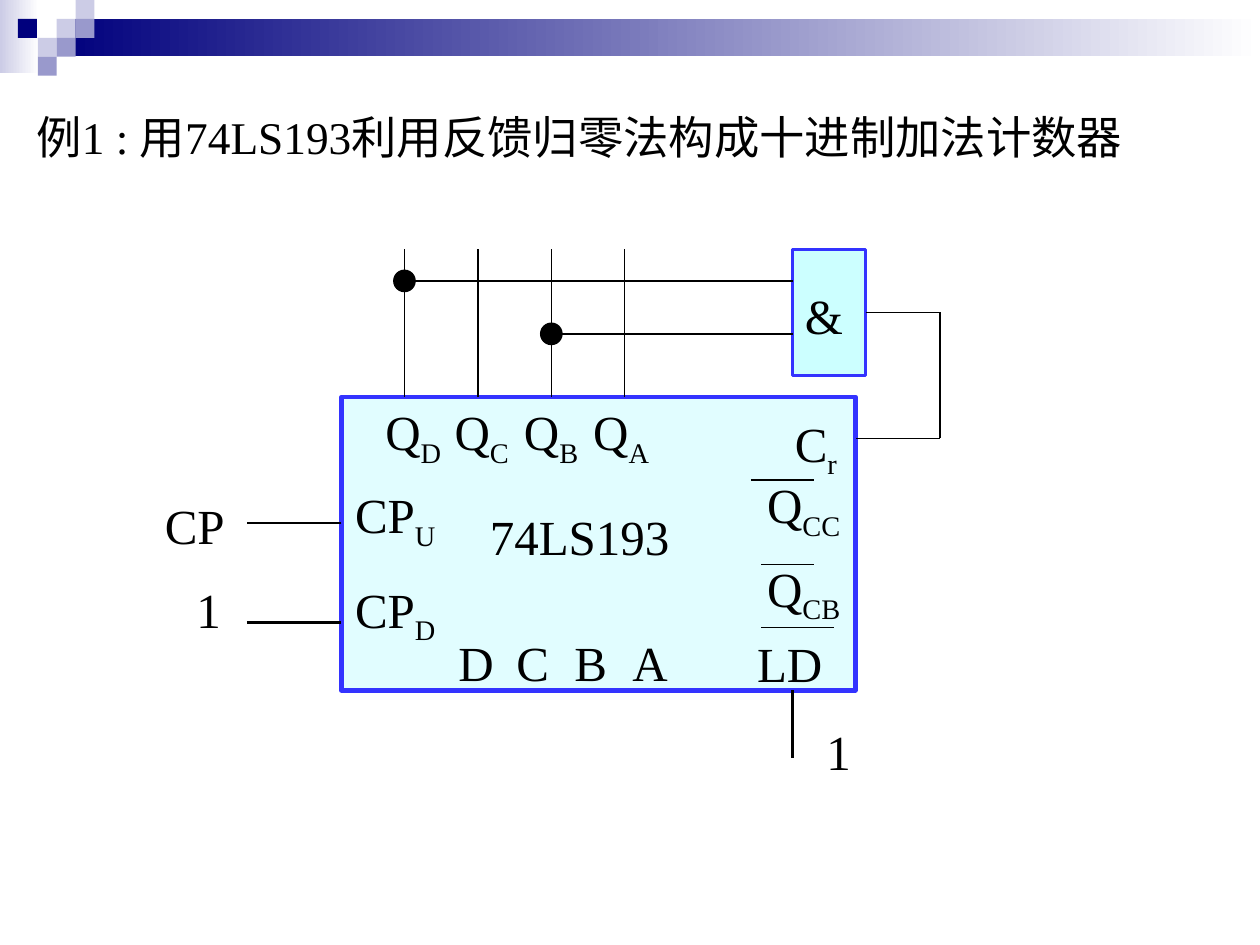
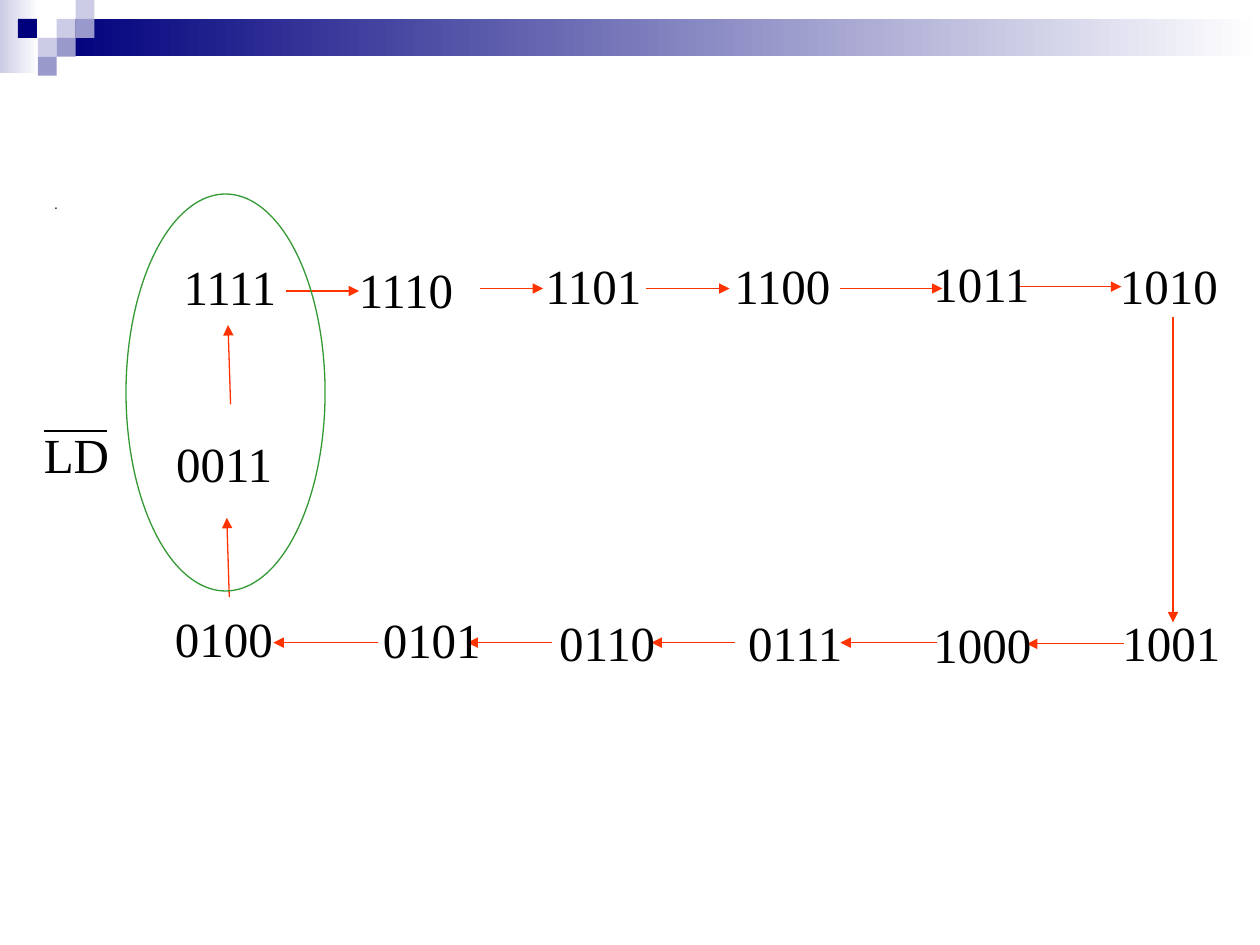
import dataclasses
import pptx
import pptx.dml.color
import pptx.enum.shapes
import pptx.enum.text
import pptx.oxml
import pptx.oxml.ns
import pptx.util

SHAPE = pptx.enum.shapes.MSO_SHAPE
LINK = pptx.enum.shapes.MSO_CONNECTOR.STRAIGHT
ALIGN = pptx.enum.text.PP_ALIGN
ANCHOR = pptx.enum.text.MSO_ANCHOR
FIT = pptx.enum.text.MSO_AUTO_SIZE
WIDE = pptx.util.Inches(10)
HIGH = pptx.util.Inches(7.5)
CELL = WIDE / 100


@dataclasses.dataclass(frozen=True)
class Theme:
    ink: str = "000000"
    navy: str = "00007D"
    mid: str = "9999CC"
    pale: str = "CCCCE6"
    white: str = "FFFFFF"
    edge: str = "3333FF"
    chip: str = "E1FDFF"
    gate: str = "CCFFFF"
    arrow: str = "FF3300"
    ring: str = "339933"
    serif: str = "Times New Roman"
    sans: str = "Arial"
    label: float = 28
    head: float = 25.9
    tiny: float = 8
    thin: float = 0.75
    bold: float = 1.5


LOOK = Theme()


@dataclasses.dataclass(frozen=True)
class Box:
    x: float
    y: float
    w: float
    h: float

    def sub(self, x, y, w, h):
        return Box(self.x + x, self.y + y, w, h)

    def emu(self):
        return [round(n * CELL) for n in (self.x, self.y, self.w, self.h)]


def rgb(code):
    return pptx.dml.color.RGBColor.from_string(code)


def child(node, tag, **attrs):
    item = pptx.oxml.parse_xml(f"<a:{tag} {pptx.oxml.ns.nsdecls('a')}/>")
    for key, value in attrs.items():
        item.set(key, value)
    node.append(item)


def block(slide, box, fill=None, edge=None, width=LOOK.thin, kind=SHAPE.RECTANGLE):
    shape = slide.shapes.add_shape(kind, *box.emu())
    shape.shadow.inherit = False
    if isinstance(fill, tuple):
        shape.fill.gradient()
        shape.fill.gradient_angle = 0
        for stop, code in zip(shape.fill.gradient_stops, fill):
            stop.color.rgb = rgb(code)
    elif fill:
        shape.fill.solid()
        shape.fill.fore_color.rgb = rgb(fill)
    else:
        shape.fill.background()
    if edge:
        shape.line.color.rgb = rgb(edge)
        shape.line.width = pptx.util.Pt(width)
    else:
        shape.line.fill.background()


def wire(slide, box, start, end, color=LOOK.ink, width=LOOK.thin, tip=False):
    ends = [round(n * CELL) for x, y in (start, end) for n in (box.x + x, box.y + y)]
    line = slide.shapes.add_connector(LINK, *ends)
    line.line.color.rgb = rgb(color)
    line.line.width = pptx.util.Pt(width)
    if tip:
        child(line.line._get_or_add_ln(), "tailEnd", type="triangle")
    child(line._element.spPr, "effectLst")


def add_run(para, text, font=LOOK.serif, size=LOOK.label):
    run = para.add_run()
    run.text = text.lstrip("_")
    run.font.name = font
    run.font.size = pptx.util.Pt(size)
    run.font.color.rgb = rgb(LOOK.ink)
    if text.startswith("_"):
        run._r.get_or_add_rPr().set("baseline", "-25000")


def label(slide, box, *runs, step=0):
    frame = slide.shapes.add_textbox(*box.emu()).text_frame
    frame.word_wrap = True
    frame.auto_size = FIT.NONE
    frame.margin_right = 0
    para = frame.paragraphs[0]
    if step:
        props = para._p.get_or_add_pPr()
        child(props, "tabLst")
        for i in range(1, 4):
            child(props[-1], "tab", pos=str(round(i * step * CELL)), algn="l")
    for text in runs:
        add_run(para, text)


def holder(shape, box, anchor):
    shape.left, shape.top, shape.width, shape.height = box.emu()
    frame = shape.text_frame
    frame.auto_size = FIT.NONE
    frame.word_wrap = True
    frame.vertical_anchor = anchor
    para = frame.paragraphs[0]
    para.alignment = ALIGN.LEFT
    para.space_before = pptx.util.Pt(0)
    return para


def band(slide, box):
    block(slide, box.sub(0, 0, 3.1, 5.8), (LOOK.pale, LOOK.white))
    block(slide, box.sub(4.5, 1.5, box.w - 4.5, 2.95), (LOOK.navy, LOOK.white))
    tiles = [(3, 1, LOOK.pale), (4, 0, LOOK.pale), (4, 1, LOOK.mid),
             (2, 2, LOOK.pale), (0.95, 1, LOOK.navy),
             (3, 2, LOOK.mid), (2, 3, LOOK.mid)]
    for col, row, color in tiles:
        block(slide, box.sub(col * 1.5, row * 1.5, 1.5, 1.5), color)


def chip(slide, box):
    block(slide, box, LOOK.chip, LOOK.edge, 2.5)
    names = [(35, 0.8, 6.2, "C", "_r"), (0.1, 6.5, 8.4, "CP", "_U"),
             (0.1, 14, 8.4, "CP", "_D"), (32.8, 5.7, 7.8, "Q", "_CC"),
             (32.8, 12.3, 7.8, "Q", "_CB")]
    for x, y, w, *runs in names:
        label(slide, box.sub(x, y, w, 6.3), *runs)
    label(slide, box.sub(2.5, -0.1, 22.8, 6.3),
          "Q", "_D\t", "Q", "_C\t", "Q", "_B\t", "Q", "_A", step=5.5)
    label(slide, box.sub(8.3, 18.2, 18.6, 5.7), "D\tC\tB\tA", step=4.6)
    label(slide, box.sub(32, 18.3, 7.2, 5.7), "LD")
    label(slide, box.sub(10.8, 8.2, 16.2, 5.7), "74LS193")
    for left, right, y in [(32.5, 37.5, 6.6), (33.3, 37.5, 13.3), (33.3, 39.1, 18.3)]:
        wire(slide, box, (left, y), (right, y))


def gate(slide, box):
    block(slide, box, LOOK.gate, LOOK.edge, 2)
    label(slide, box.sub(0, 2.4, 5, 5.7), "&")


def wiring(slide, box):
    pins = [5 + 5.83 * i for i in range(4)]
    for x in pins:
        wire(slide, box, (x, 0), (x, -11.7))
    for x, y in [(pins[0], -9.2), (pins[2], -5)]:
        wire(slide, box, (35.8, y), (x, y))
        block(slide, box.sub(x - 0.85, y - 0.85, 1.7, 1.7), LOOK.ink, LOOK.ink,
              kind=SHAPE.OVAL)
    loop = [(41.6, -6.7), (47.5, -6.7), (47.5, 3.3), (box.w, 3.3)]
    for start, end in zip(loop, loop[1:]):
        wire(slide, box, start, end)
    wire(slide, box, (0, 10), (-7.5, 10))
    wire(slide, box, (-7.5, 17.9), (0, 17.9), width=LOOK.bold)
    wire(slide, box, (35.8, box.h), (35.8, 28.7), width=LOOK.bold)
    for x, y, w, text in [(-15, 7.3, 6.7, "CP"), (-12.5, 14, 3.9, "1"),
                          (37.5, 25.3, 3.9, "1")]:
        label(slide, box.sub(x, y, w, 5.7), text)


def cycle(slide, box):
    arrows = [(12.7, 8.1, 18.5, 8.1), (28.1, 7.9, 33.1, 7.9), (41.3, 7.9, 47.9, 7.9),
              (56.7, 7.9, 64.8, 7.9), (70.9, 7.75, 79, 7.75), (83.1, 10.2, 83.1, 34.4),
              (79.2, 36.1, 71.5, 36.1), (64.4, 36, 56.7, 36), (48.3, 36, 41.7, 36),
              (33.8, 36, 27.1, 36), (20, 36, 11.7, 36), (8.2, 32.4, 8, 26.1),
              (8.3, 17.1, 8.1, 10.8)]
    for x, y, right, low in arrows:
        wire(slide, box, (x, y), (right, low), LOOK.arrow, tip=True)
    block(slide, box.sub(0, 0.4, 15.8, 31.5), edge=LOOK.ring, kind=SHAPE.OVAL)
    codes = [(3.6, 4.9, "1111"), (17.5, 5.1, "1110"), (32.3, 4.8, "1101"),
             (47.3, 4.8, "1100"), (63.1, 4.6, "1011"), (77.9, 4.8, "1010"),
             (78.1, 33.1, "1001"), (63.1, 33.3, "1000"), (48.4, 33.1, "0111"),
             (33.4, 33.1, "0110"), (19.4, 32.9, "0101"), (2.9, 32.8, "0100"),
             (3, 18.9, "0011")]
    for x, y, code in codes:
        label(slide, box.sub(x, y, 9.7, 5.7), code)
    label(slide, box.sub(-7.5, 18.2, 7.2, 5.7), "LD")
    wire(slide, box, (-6.5, 19.2), (-1.5, 19.2))


def circuit(deck, box):
    slide = deck.slides.add_slide(deck.slide_layouts[1])
    title = slide.shapes.title._element
    title.getparent().remove(title)
    band(slide, box)
    para = holder(slide.placeholders[1], box.sub(1.9, 9, 96, 6.7), ANCHOR.TOP)
    props = para._p.get_or_add_pPr()
    props.set("marL", str(pptx.util.Inches(0.38)))
    props.set("indent", str(-pptx.util.Inches(0.38)))
    child(props, "buNone")
    para.line_spacing = 0.8
    add_run(para, "例1 : 用74LS193", size=LOOK.head)
    add_run(para, "利用反馈归零法构成十进制加法计数器", LOOK.sans, LOOK.head)
    core = box.sub(27.1, 31.5, 40.8, 23.3)
    chip(slide, core)
    gate(slide, core.sub(35.8, -11.7, 5.8, 10))
    wiring(slide, core)


def states(deck, box):
    slide = deck.slides.add_slide(deck.slide_layouts[5])
    band(slide, box)
    para = holder(slide.shapes.title, box.sub(3.3, 15, 85, 2.3), ANCHOR.MIDDLE)
    add_run(para, ".", LOOK.sans, LOOK.tiny)
    cycle(slide, box.sub(10, 15, 88, 39))


def main():
    deck = pptx.Presentation()
    deck.slide_width, deck.slide_height = WIDE, HIGH
    page = Box(0, 0, 100, 75)
    circuit(deck, page)
    states(deck, page)
    deck.save("out.pptx")


if __name__ == "__main__":
    main()
